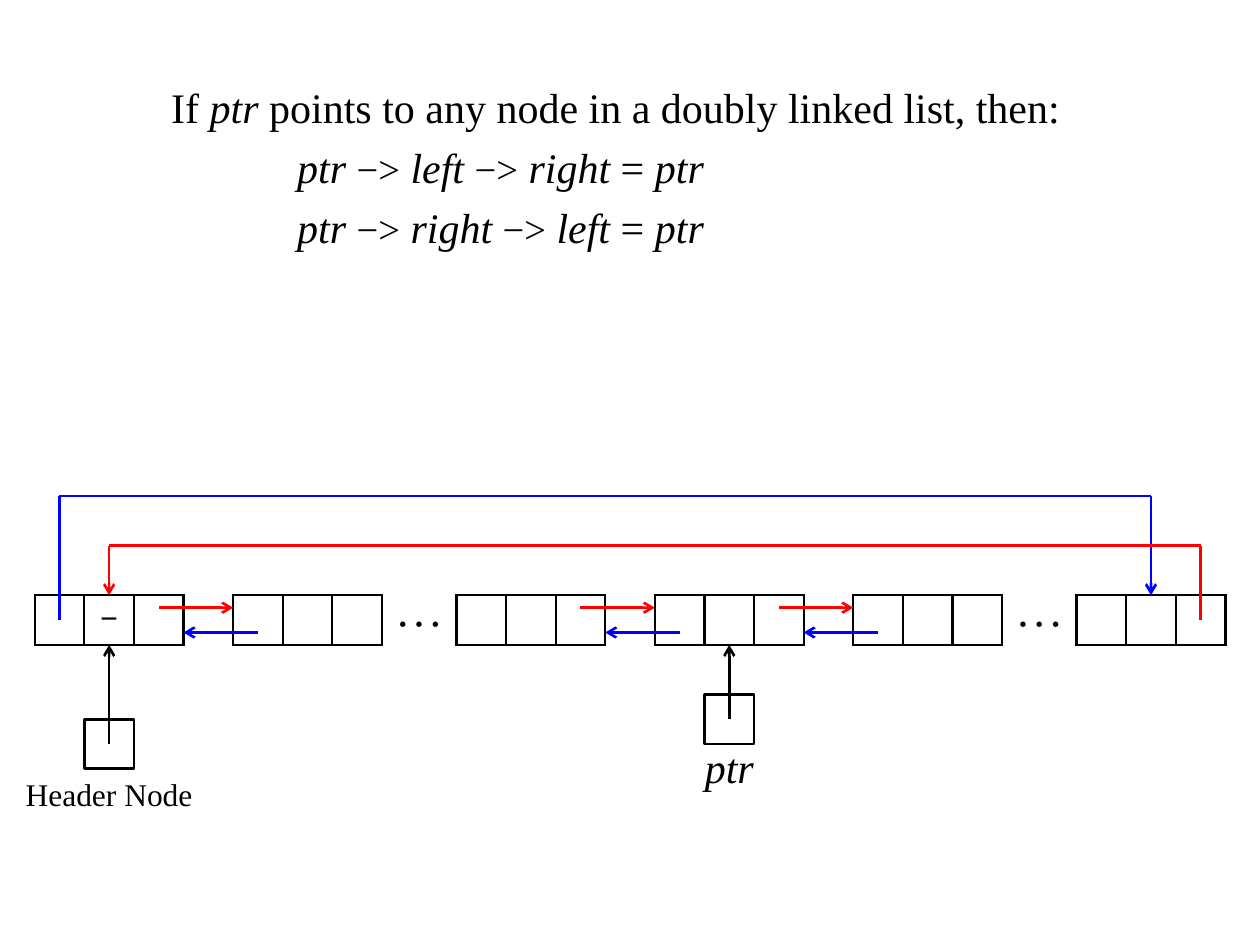
from dataclasses import dataclass

import pptx
import pptx.dml.color
import pptx.enum.shapes
import pptx.enum.text
import pptx.oxml.ns
import pptx.util
from lxml import etree

Pt = pptx.util.Pt
qn = pptx.oxml.ns.qn
ALIGN = pptx.enum.text.PP_ALIGN
ANCHOR = pptx.enum.text.MSO_ANCHOR

COLORS = {"black": "000000", "left": "0000FF", "right": "FF0000"}
FONT = "Times New Roman"
CELL = 28.35
LEFT, TOP = 19.84, 340.16
WEIGHT = 1.5


@dataclass(frozen=True)
class Line:
    x1: float
    y1: float
    x2: float
    y2: float
    color: str
    arrow: bool = False


@dataclass(frozen=True)
class Label:
    text: str
    x: float
    y: float
    width: float
    size: float
    italic: bool = False
    bottom: float = 2.83


NODES = [0, 4, 8.5, 12.5, 16.5, 21]
LINKED_PAIRS = [(0, 4), (8.5, 12.5), (12.5, 16.5)]
POINTER_BOXES = [(13.5, 2), (1, 2.5)]
LINES = [
    Line(0.5, 0.5, 0.5, -2, "left"),
    Line(0.5, -2, 22.5, -2, "left"),
    Line(22.5, -2, 22.5, 0, "left", True),
    Line(23.5, 0.5, 23.5, -1, "right"),
    Line(23.5, -1, 1.5, -1, "right"),
    Line(1.5, -1, 1.5, 0, "right", True),
]
for first, second in LINKED_PAIRS:
    LINES.append(Line(first + 2.5, 0.25, second, 0.25, "right", True))
    LINES.append(Line(second + 0.5, 0.75, first + 3, 0.75, "left", True))
for box_x, box_y in POINTER_BOXES:
    LINES.append(Line(box_x + 0.5, box_y + 0.5, box_x + 0.5, 1, "black", True))
LABELS = [
    Label("⋯", 7, 0, 1.5, 28),
    Label("⋯", 19.5, 0, 1.5, 28),
    Label("ptr", 13, 3, 2, 24, True),
    Label("Header Node", -0.5, 3.5, 4, 18, bottom=0),
]


def rgb(name: str) -> pptx.dml.color.RGBColor:
    return pptx.dml.color.RGBColor.from_string(COLORS[name])


def px(x: float) -> int:
    return Pt(LEFT + x * CELL)


def py(y: float) -> int:
    return Pt(TOP + y * CELL)


def add_run(p, text: str, size: float, italic: bool = False, bold: bool = False) -> None:
    r = p.add_run()
    r.text = text
    r.font.name = FONT
    r.font.size = Pt(size)
    r.font.italic = italic
    r.font.bold = bold
    r.font.color.rgb = rgb("black")


def add_statement(s) -> None:
    sp = s.shapes.add_textbox(Pt(90.72), Pt(43.2), Pt(538.56), Pt(113))
    tf = sp.text_frame
    tf.word_wrap = True
    p = tf.paragraphs[0]
    p.space_before = Pt(5.5)
    add_run(p, "If ", 24)
    add_run(p, "ptr ", 24, True)
    add_run(p, "points to any node in a doubly linked list, then:", 24)
    for fields in (("left ", "right "), ("right ", "left ")):
        p = tf.add_paragraph()
        p.level = 2
        p.space_before = Pt(5.5)
        pr = p._p.get_or_add_pPr()
        pr.set("marL", str(Pt(90)))
        pr.set("indent", str(Pt(-18)))
        add_run(p, "ptr ", 24, True)
        for field in fields:
            add_run(p, "−>", 22)
            add_run(p, " ", 24)
            add_run(p, field, 24, True)
        add_run(p, "= ", 24)
        add_run(p, "ptr", 24, True)


def add_border(cell) -> None:
    pr = cell._tc.get_or_add_tcPr()
    for i, side in enumerate(("lnL", "lnR", "lnT", "lnB")):
        ln = etree.Element(qn(f"a:{side}"), w=str(Pt(WEIGHT)))
        fill = etree.SubElement(ln, qn("a:solidFill"))
        etree.SubElement(fill, qn("a:srgbClr"), val=COLORS["black"])
        pr.insert(i, ln)


def add_node(s, x: float, mark: str = "") -> None:
    frame = s.shapes.add_table(1, 3, px(x), py(0), Pt(3 * CELL), Pt(CELL))
    table = frame.table
    table.first_row = table.horz_banding = False
    for column in table.columns:
        column.width = Pt(CELL)
    for cell in table.rows[0].cells:
        cell.fill.background()
        add_border(cell)
        cell.margin_left = cell.margin_right = cell.margin_top = 0
        cell.margin_bottom = Pt(1.42)
        cell.vertical_anchor = ANCHOR.MIDDLE
    if mark:
        p = table.cell(0, 1).text_frame.paragraphs[0]
        p.alignment = ALIGN.CENTER
        add_run(p, mark, 18, bold=True)


def add_line(s, line: Line) -> None:
    sp = s.shapes.add_connector(
        pptx.enum.shapes.MSO_CONNECTOR.STRAIGHT,
        px(line.x1), py(line.y1), px(line.x2), py(line.y2))
    sp.line.color.rgb = rgb(line.color)
    sp.line.width = Pt(WEIGHT)
    if line.arrow:
        etree.SubElement(sp.line._get_or_add_ln(), qn("a:tailEnd"), type="arrow")
    etree.SubElement(sp._element.spPr, qn("a:effectLst"))


def add_box(s, x: float, y: float) -> None:
    sp = s.shapes.add_shape(
        pptx.enum.shapes.MSO_SHAPE.RECTANGLE, px(x), py(y), Pt(CELL), Pt(CELL))
    sp.shadow.inherit = False
    sp.fill.background()
    sp.line.color.rgb = rgb("black")
    sp.line.width = Pt(WEIGHT)


def add_label(s, label: Label) -> None:
    sp = s.shapes.add_textbox(px(label.x), py(label.y), Pt(label.width * CELL), Pt(CELL))
    tf = sp.text_frame
    tf.word_wrap = False
    tf.vertical_anchor = ANCHOR.MIDDLE
    tf.margin_top = 0
    tf.margin_bottom = Pt(label.bottom)
    p = tf.paragraphs[0]
    p.alignment = ALIGN.CENTER
    add_run(p, label.text, label.size, label.italic)


prs = pptx.Presentation()
prs.slide_width, prs.slide_height = Pt(720), Pt(540)
s = prs.slides.add_slide(prs.slide_layouts[6])
add_statement(s)
for node_x in NODES:
    add_node(s, node_x, "−" if node_x == 0 else "")
for box_x, box_y in POINTER_BOXES:
    add_box(s, box_x, box_y)
for line in LINES:
    add_line(s, line)
for label in LABELS:
    add_label(s, label)
prs.save("out.pptx")
